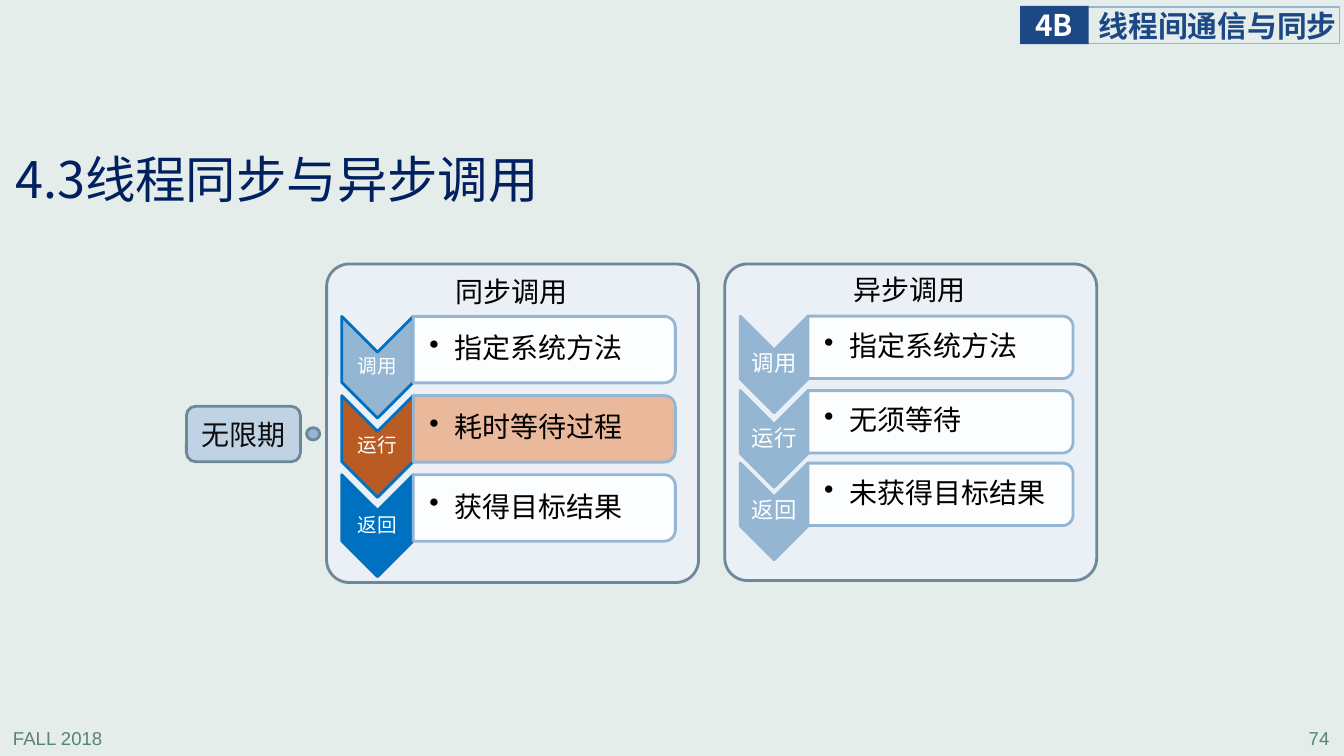
from dataclasses import dataclass

from lxml.etree import SubElement
from pptx import Presentation
from pptx.dml.color import RGBColor
from pptx.enum.shapes import MSO_SHAPE
from pptx.enum.text import MSO_ANCHOR, PP_ALIGN
from pptx.oxml.ns import qn
from pptx.shapes.autoshape import Shape
from pptx.util import Pt

SANS = "Noto Sans CJK SC"
BLUE, STEEL, SLATE = "0070C0", "94B6D2", "6D879B"
NAVY, WHITE, BLACK = "1C4885", "FFFFFF", "000000"
DEFAULT_INSETS = (7.2, 3.6, 7.2, 3.6)
TIGHT_INSETS = (1, 1, 1, 1)


@dataclass(frozen=True)
class Frame:
    left: float
    top: float
    width: float
    height: float

    def turned(self) -> "Frame":
        """Frame that covers this one after a quarter turn about the centre."""
        shift = (self.width - self.height) / 2
        return Frame(self.left + shift, self.top - shift, self.height, self.width)

    def lengths(self) -> list[Pt]:
        return [Pt(value) for value in (self.left, self.top, self.width, self.height)]


@dataclass(frozen=True)
class TextStyle:
    size: float
    color: str = BLACK
    font: str = SANS
    bold: bool = False
    align: PP_ALIGN = PP_ALIGN.LEFT
    anchor: MSO_ANCHOR = MSO_ANCHOR.MIDDLE
    insets: tuple = DEFAULT_INSETS
    wrap: bool = True
    line_spacing: float = 1.0
    space_after: float = 0
    bullet: bool = False


@dataclass(frozen=True)
class Step:
    label: str
    detail: str
    top: float
    arrow_fill: str = STEEL
    detail_fill: str = WHITE


@dataclass(frozen=True)
class Panel:
    heading: str
    heading_frame: Frame
    frame: Frame
    arrow_left: float
    arrow_width: float
    arrow_height: float
    arrow_line: str
    label_style: TextStyle
    detail_width: float
    detail_height: float
    steps: tuple


def rgb(color: str) -> RGBColor:
    return RGBColor.from_string(color)


def set_values(target, values: dict) -> None:
    for name, value in values.items():
        setattr(target, name, value)


def write_text(box: Shape, text: str, style: TextStyle) -> None:
    left, top, right, bottom = (Pt(inset) for inset in style.insets)
    set_values(box.text_frame, dict(
        word_wrap=style.wrap, vertical_anchor=style.anchor,
        margin_left=left, margin_top=top, margin_right=right, margin_bottom=bottom))
    para = box.text_frame.paragraphs[0]
    if style.bullet:
        para.level = 1
        properties = para._p.get_or_add_pPr()
        properties.set("marL", str(Pt(18)))
        properties.set("indent", str(Pt(-18)))
        SubElement(properties, qn("a:buChar"), char="•")
    set_values(para, dict(alignment=style.align, line_spacing=style.line_spacing,
                          space_after=Pt(style.space_after)))
    span = para.add_run()
    span.text = text
    set_values(span.font, dict(name=style.font, size=Pt(style.size), bold=style.bold))
    span.font.color.rgb = rgb(style.color)
    SubElement(span._r.get_or_add_rPr(), qn("a:ea"), typeface=SANS)


def add_text(shapes, frame: Frame, text: str, style: TextStyle) -> None:
    write_text(shapes.add_textbox(*frame.lengths()), text, style)


def add_box(shapes, kind: MSO_SHAPE, frame: Frame, fill: str = "", line: str = "",
            weight: float = 2, turned: bool = False, opacity: int = 100) -> Shape:
    box = shapes.add_shape(kind, *(frame.turned() if turned else frame).lengths())
    box.shadow.inherit = False
    box.rotation = 90 if turned else 0
    if fill:
        box.fill.solid()
        box.fill.fore_color.rgb = rgb(fill)
    else:
        box.fill.background()
    if opacity < 100:
        color = box._element.spPr.find(qn("a:solidFill"))[0]
        SubElement(color, qn("a:alpha"), val=str(opacity * 1000))
    if line:
        box.line.color.rgb = rgb(line)
        box.line.width = Pt(weight)
    else:
        box.line.fill.background()
    return box


DETAIL = TextStyle(20, insets=(11.5, 1, 1, 1), line_spacing=0.9, space_after=3, bullet=True)
HEADING = TextStyle(20, anchor=MSO_ANCHOR.TOP, wrap=False)


def label_style(size: float, font: str) -> TextStyle:
    return TextStyle(size, WHITE, font, align=PP_ALIGN.CENTER, insets=TIGHT_INSETS,
                     line_spacing=0.9, space_after=5)


def draw_step(shapes, panel: Panel, step: Step) -> None:
    arrow = Frame(panel.arrow_left, step.top, panel.arrow_width, panel.arrow_height)
    add_box(shapes, MSO_SHAPE.CHEVRON, arrow, step.arrow_fill, panel.arrow_line, turned=True)
    label = Frame(arrow.left, step.top + arrow.height / 2 - 10.5, arrow.width, 21)
    add_text(shapes, label, step.label, panel.label_style)
    detail = Frame(arrow.left + arrow.width, step.top, panel.detail_width, panel.detail_height)
    add_box(shapes, MSO_SHAPE.ROUND_2_SAME_RECTANGLE, detail, step.detail_fill, STEEL,
            turned=True, opacity=90)
    words = Frame(detail.left, step.top + 2.2, detail.width - 2.5, detail.height - 4.4)
    add_text(shapes, words, step.detail, DETAIL)


def draw_panel(page, panel: Panel) -> None:
    back = add_box(page.shapes, MSO_SHAPE.ROUNDED_RECTANGLE, panel.frame, "EAF0F6", SLATE)
    back.adjustments[0] = 0.071
    steps = page.shapes.add_group_shape()
    for step in panel.steps:
        draw_step(steps.shapes, panel, step)
    add_text(page.shapes, panel.heading_frame, panel.heading, HEADING)


PANELS = (
    Panel("异步调用", Frame(602.6, 190.8, 95, 31.7), Frame(517.7, 188.6, 265.7, 226.1),
          528.7, 48.4, 69.1, STEEL, label_style(16, "Calibri"), 189.4, 44.6,
          (Step("调用", "指定系统方法", 225.8),
           Step("运行", "无须等待", 279),
           Step("返回", "未获得目标结果", 330.8))),
    Panel("同步调用", Frame(318.2, 192.2, 95, 31.7), Frame(233.3, 188.6, 265.7, 227.5),
          244.1, 51.1, 72.7, BLUE, label_style(14, SANS), 187.2, 47.5,
          (Step("调用", "指定系统方法", 226),
           Step("运行", "耗时等待过程", 282.6, "B95B22", "EBB391"),
           Step("返回", "获得目标结果", 339.1, BLUE))),
)


def draw_frame_text(page) -> None:
    """Footer, section tag and title."""
    for left, text, align in ((2.2, "FALL 2018", PP_ALIGN.LEFT), (756.7, "74", PP_ALIGN.RIGHT)):
        add_text(page.shapes, Frame(left, 515.5, 200, 22.3), text,
                 TextStyle(13.3, "578279", "Arial", align=align, anchor=MSO_ANCHOR.TOP))
    tag = page.shapes.add_group_shape().shapes
    section = add_box(tag, MSO_SHAPE.RECTANGLE, Frame(776.4, 5, 180.2, 26), line=STEEL, weight=0.75)
    write_text(section, "线程间通信与同步",
               TextStyle(21.3, NAVY, bold=True, insets=(8.4, 0, 0, 0)))
    number = add_box(tag, MSO_SHAPE.RECTANGLE, Frame(728.6, 4.3, 49, 27.2), NAVY)
    write_text(number, "4B", TextStyle(21.3, WHITE, bold=True, align=PP_ALIGN.CENTER,
                                       insets=(0, 0, 0, 0), wrap=False))
    add_text(page.shapes, Frame(5, 102.2, 447.1, 56.2), "4.3线程同步与异步调用",
             TextStyle(36, "002060", insets=(5.8, 2.9, 5.8, 2.9), line_spacing=0.9))


def main() -> None:
    deck = Presentation()
    deck.slide_width, deck.slide_height = Pt(960), Pt(540)
    page = deck.slides.add_slide(deck.slide_layouts[6])
    page.background.fill.solid()
    page.background.fill.fore_color.rgb = rgb("E5EDEB")
    draw_frame_text(page)
    for panel in PANELS:
        draw_panel(page, panel)
    wait = add_box(page.shapes, MSO_SHAPE.ROUNDED_RECTANGLE, Frame(133.2, 290.2, 81.4, 39.6),
                   "BFD3E4", SLATE)
    write_text(wait, "无限期", TextStyle(20, "0D0D0D", align=PP_ALIGN.CENTER))
    add_box(page.shapes, MSO_SHAPE.OVAL, Frame(219, 305.5, 9.4, 8.8), STEEL, SLATE)
    deck.save("out.pptx")


if __name__ == "__main__":
    main()
